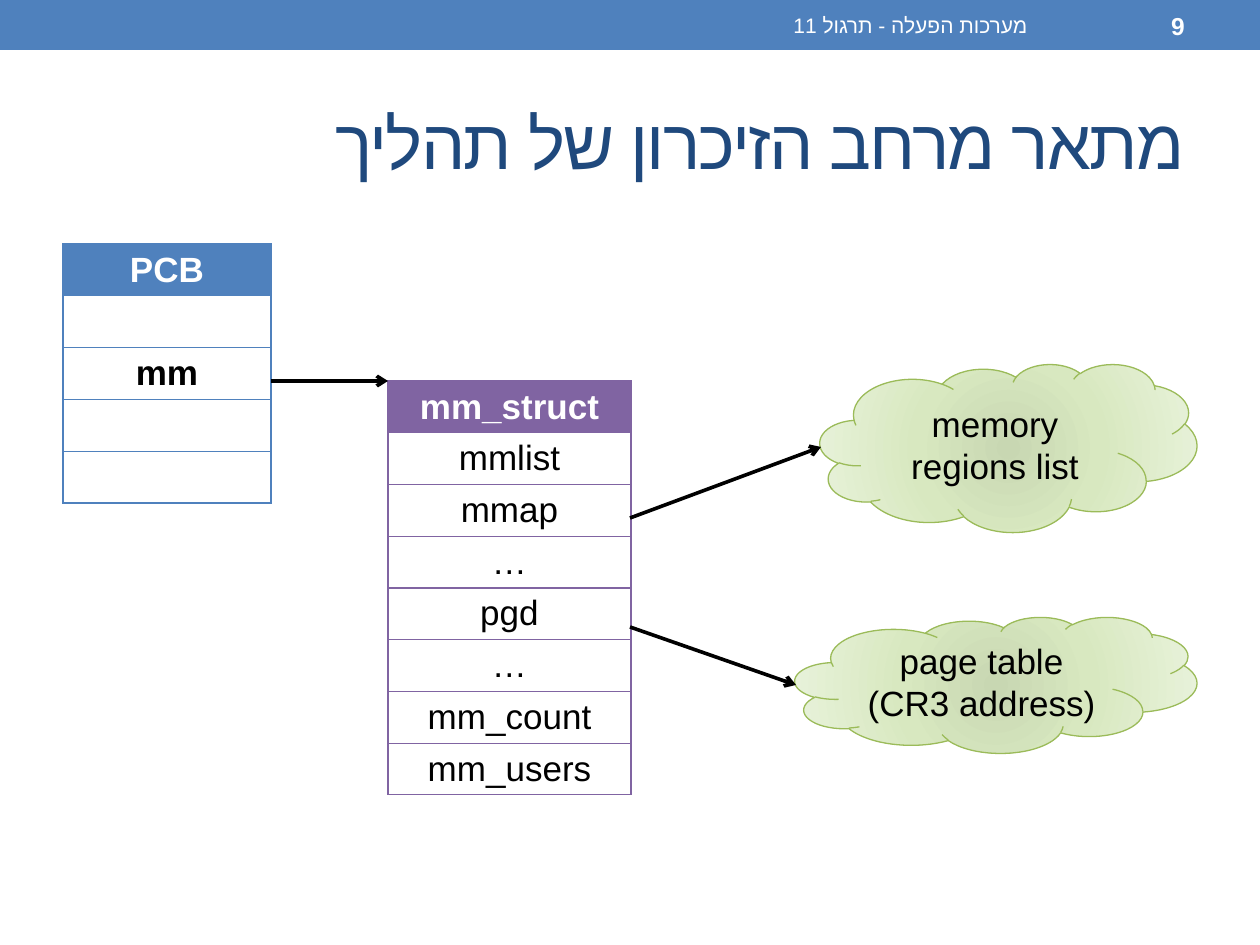
from dataclasses import dataclass

from lxml.etree import SubElement
from pptx import Presentation
from pptx.dml.color import RGBColor
from pptx.enum.shapes import MSO_CONNECTOR, MSO_SHAPE
from pptx.enum.text import MSO_ANCHOR, PP_ALIGN
from pptx.oxml import parse_xml
from pptx.oxml.ns import nsdecls, qn
from pptx.slide import Slide
from pptx.util import Emu, Pt

BLUE, PURPLE, GREEN = "4F81BD", "8064A2", "9BBB59"
NAVY, WHITE, BLACK = "1F497D", "FFFFFF", "000000"
GLOW = [(0, "C8D7B2"), (45, "D8E8C0"), (100, "E9F3DC")]


def px(num):
    return Emu(round(num * 914400 / 126))


def rgb(code):
    return RGBColor.from_string(code)


@dataclass
class Deck:
    """Holds the text style and the slide being drawn."""

    slide: Slide
    face: str = "Arial"
    size: int = 20
    thin: float = 0.75
    thick: float = 2.08

    def words(self, frame, lines, size=None, color=BLACK, bold=False, rtl=False, space=0):
        frame.word_wrap = True
        for i, line in enumerate(lines):
            para = frame.add_paragraph() if i else frame.paragraphs[0]
            para.alignment = PP_ALIGN.RIGHT if rtl else PP_ALIGN.CENTER
            if rtl:
                para._p.get_or_add_pPr().set("rtl", "1")
            run = para.add_run()
            run.text = line
            font = run.font
            font.name, font.size, font.bold = self.face, Pt(size or self.size), bold
            font.color.rgb = rgb(color)
            props = run._r.get_or_add_rPr()
            SubElement(props, qn("a:cs"), typeface=self.face)
            if space:
                props.set("spc", str(space))

    def title(self, box, text):
        shape = self.slide.shapes.title
        shape.left, shape.top, shape.width, shape.height = map(px, box)
        shape.text_frame.vertical_anchor = MSO_ANCHOR.MIDDLE
        self.words(shape.text_frame, [text], 40, NAVY, rtl=True, space=-100)

    def label(self, box, text, size, bold=False):
        frame = self.slide.shapes.add_textbox(*map(px, box)).text_frame
        frame.vertical_anchor = MSO_ANCHOR.MIDDLE
        self.words(frame, [text], size, WHITE, bold, rtl=True)

    def bar(self, box, color):
        shape = self.slide.shapes.add_shape(MSO_SHAPE.RECTANGLE, *map(px, box))
        shape.shadow.inherit = False
        shape.fill.solid()
        shape.fill.fore_color.rgb = rgb(color)
        shape.line.fill.background()

    def cloud(self, box, lines):
        shape = self.slide.shapes.add_shape(MSO_SHAPE.CLOUD, *map(px, box))
        shape.shadow.inherit = False
        shape.line.color.rgb = rgb(GREEN)
        shape.line.width = Pt(self.thin)
        stops = "".join(
            f'<a:gs pos="{pos * 1000}"><a:srgbClr val="{code}"/></a:gs>' for pos, code in GLOW
        )
        fill = parse_xml(
            f'<a:gradFill {nsdecls("a")}><a:gsLst>{stops}</a:gsLst><a:path path="circle">'
            '<a:fillToRect l="100000" t="100000" r="100000" b="100000"/></a:path></a:gradFill>'
        )
        shape._element.spPr.find(qn("a:prstGeom")).addnext(fill)
        shape.text_frame.vertical_anchor = MSO_ANCHOR.MIDDLE
        self.words(shape.text_frame, lines)

    def edge(self, cell, color):
        props = cell._tc.get_or_add_tcPr()
        for side in "LRTB":
            props.append(parse_xml(
                f'<a:ln{side} {nsdecls("a")} w="{Pt(self.thin)}"><a:solidFill>'
                f'<a:srgbClr val="{color}"/></a:solidFill></a:ln{side}>'
            ))

    def table(self, box, rows, color, strong=()):
        table = self.slide.shapes.add_table(len(rows), 1, *map(px, box)).table
        table.first_row = table.horz_banding = False
        for i, text in enumerate(rows):
            cell = table.cell(i, 0)
            cell.margin_top = cell.margin_bottom = px(2)
            cell.vertical_anchor = MSO_ANCHOR.MIDDLE
            self.edge(cell, color)
            cell.fill.solid()
            cell.fill.fore_color.rgb = rgb(WHITE if i else color)
            if text:
                ink = BLACK if i else WHITE
                self.words(cell.text_frame, [text], color=ink, bold=not i or text in strong)

    def arrow(self, *ends):
        link = self.slide.shapes.add_connector(MSO_CONNECTOR.STRAIGHT, *map(px, ends))
        link.line.color.rgb = rgb(BLACK)
        link.line.width = Pt(self.thick)
        SubElement(link.line._get_or_add_ln(), qn("a:tailEnd"), type="arrow")
        SubElement(link._element.spPr, qn("a:effectLst"))


def main():
    show = Presentation()
    show.slide_width, show.slide_height = px(1260), px(945)
    deck = Deck(show.slides.add_slide(show.slide_layouts[5]))
    deck.bar((0, 0, 1260, 50), BLUE)
    deck.title((63, 73, 1134, 136), "מתאר מרחב הזיכרון של תהליך")
    deck.label((1050, 3, 147, 45), "9", 14, bold=True)
    deck.label((473, 3, 567, 45), "מערכות הפעלה - תרגול 11", 12)
    deck.table((63, 244, 208, 259), ["PCB", "", "mm", "", ""], BLUE, strong=("mm",))
    fields = ["mm_struct", "mmlist", "mmap", "…", "pgd", "…", "mm_count", "mm_users"]
    deck.table((388, 381, 243, 414), fields, PURPLE)
    deck.cloud((795, 617, 402, 136), ["page table", "(CR3 address)"])
    deck.cloud((820, 364, 377, 168), ["memory regions list"])
    deck.arrow(271, 381, 388, 381)
    deck.arrow(630, 518, 821, 447)
    deck.arrow(630, 627, 796, 685)
    show.save("out.pptx")


if __name__ == "__main__":
    main()
